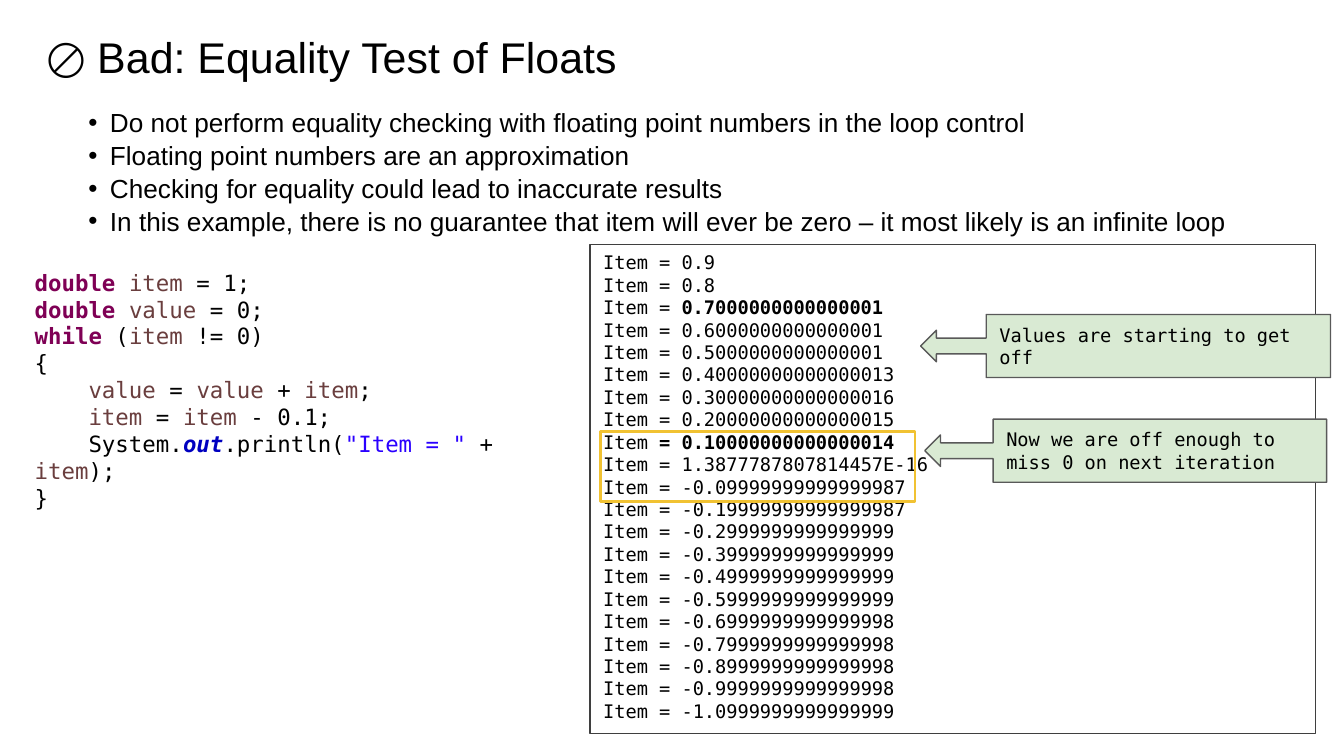
"""Build a slide on why floats should not be tested for equality."""
from lxml import etree
from pptx import Presentation, util as u
from pptx.dml.color import RGBColor
from pptx.enum import shapes, text
from pptx.oxml.ns import qn

SANS, MONO = "Arial", "DejaVu Sans Mono"
COLORS = {
    "text": "000000", "keyword": "7F0055", "variable": "6A3E3E",
    "field": "0000C0", "string": "2A00FF", "paper": "FFFFFF",
    "frame": "3F3F3F", "callout": "D9EAD3", "edge": "595959", "mark": "F1C232",
}
TITLE = "🚫 Bad: Equality Test of Floats"
BULLETS = [
    "Do not perform equality checking with floating point numbers in the loop control",
    "Floating point numbers are an approximation",
    "Checking for equality could lead to inaccurate results",
    "In this example, there is no guarantee that item will ever be zero – it most likely is an infinite loop",
]
CODE = [
    [("double ", "keyword"), ("item", "variable"), (" = 1;", "text")],
    [("double ", "keyword"), ("value", "variable"), (" = 0;", "text")],
    [("while", "keyword"), (" (", "text"), ("item", "variable"), (" != 0)", "text")],
    [("{", "text")],
    [("    value", "variable"), (" = ", "text"), ("value", "variable"),
     (" + ", "text"), ("item", "variable"), (";", "text")],
    [("    item", "variable"), (" = ", "text"), ("item", "variable"), (" - 0.1;", "text")],
    [("    System.", "text"), ("out", "field"), (".println(", "text"),
     ('"Item = "', "string"), (" + ", "text"), ("item", "variable"), (");", "text")],
    [("}", "text")],
]
VALUES = [
    "0.9", "0.8", "0.7000000000000001", "0.6000000000000001", "0.5000000000000001",
    "0.40000000000000013", "0.30000000000000016", "0.20000000000000015",
    "0.10000000000000014", "1.3877787807814457E-16", "-0.09999999999999987",
    "-0.19999999999999987", "-0.2999999999999999", "-0.3999999999999999",
    "-0.4999999999999999", "-0.5999999999999999", "-0.6999999999999998",
    "-0.7999999999999998", "-0.8999999999999998", "-0.9999999999999998",
    "-1.0999999999999999",
]
BOLD_FROM = {2: "Item = ", 8: "Item "}
CALLOUTS = [
    ("Values are starting to get off", (493.2, 168.5, 219.6, 33.8), 0.84),
    ("Now we are off enough to miss 0 on next iteration", (495.4, 224.6, 215.3, 33.8), 0.83),
]


def rgb(name):
    return RGBColor.from_string(COLORS[name])


def style(font, size, face, color="text", bold=False, italic=False):
    font.size, font.name = u.Pt(size), face
    font.bold, font.italic = bold, italic
    font.color.rgb = rgb(color)


def set_frame(sp, inset_y=7.2, anchor=text.MSO_ANCHOR.TOP):
    tf = sp.text_frame
    tf.word_wrap, tf.vertical_anchor = True, anchor
    tf.margin_left = tf.margin_right = u.Pt(7.2)
    tf.margin_top = tf.margin_bottom = u.Pt(inset_y)
    return tf


def add_box(s, box):
    return set_frame(s.shapes.add_textbox(*map(u.Pt, box)))


def add_shape(s, kind, box, fill, line, width):
    sp = s.shapes.add_shape(kind, *map(u.Pt, box))
    sp.shadow.inherit = False
    if fill:
        sp.fill.solid()
        sp.fill.fore_color.rgb = rgb(fill)
    else:
        sp.fill.background()
    sp.line.color.rgb, sp.line.width = rgb(line), u.Pt(width)
    return sp


def add_bullet(p):
    pPr = p._p.get_or_add_pPr()
    pPr.set("marL", str(u.Pt(40.3)))
    pPr.set("indent", str(-u.Pt(11.5)))
    clr = etree.SubElement(pPr, qn("a:buClr"))
    etree.SubElement(clr, qn("a:srgbClr"), val=COLORS["text"])
    etree.SubElement(pPr, qn("a:buFont"), typeface=SANS)
    etree.SubElement(pPr, qn("a:buChar"), char="•")


def write_lines(tf, lines, size):
    tf.auto_size = text.MSO_AUTO_SIZE.SHAPE_TO_FIT_TEXT
    for i, line in enumerate(lines):
        p = tf.paragraphs[0] if i == 0 else tf.add_paragraph()
        p.alignment = text.PP_ALIGN.LEFT
        for words, color, bold, italic in line:
            r = p.add_run()
            r.text = words
            style(r.font, size, MONO, color, bold, italic)


def output_line(i, value):
    line = f"Item = {value}"
    if i not in BOLD_FROM:
        return [(line, "text", False, False)]
    plain = BOLD_FROM[i]
    return [(plain, "text", False, False), (line[len(plain):], "text", True, False)]


def main():
    prs = Presentation()
    prs.slide_width, prs.slide_height = u.Pt(720), u.Pt(405)
    s = prs.slides.add_slide(prs.slide_layouts[6])

    tf = add_box(s, (18, 9.4, 671, 45.4))
    tf.text = TITLE
    style(tf.paragraphs[0].runs[0].font, 23, SANS)

    tf = add_box(s, (11.5, 49, 671, 87.1))
    tf.text = "\n".join(BULLETS)
    for p in tf.paragraphs:
        p.line_spacing = 1.05
        add_bullet(p)
        style(p.runs[0].font, 14, SANS)

    code = [[(words, kind, kind in ("keyword", "field"), kind == "field")
             for words, kind in line] for line in CODE]
    write_lines(add_box(s, (11.5, 136.8, 295.2, 131)), code, 12)

    rect = shapes.MSO_SHAPE.RECTANGLE
    sp = add_shape(s, rect, (316.1, 131, 388.8, 262.1), "paper", "frame", 0.75)
    write_lines(set_frame(sp, 3.6), [output_line(i, v) for i, v in enumerate(VALUES)], 10)

    for words, box, body in CALLOUTS:
        sp = add_shape(s, shapes.MSO_SHAPE.LEFT_ARROW_CALLOUT, box, "callout", "edge", 0.75)
        sp.adjustments[3] = body
        tf = set_frame(sp, anchor=text.MSO_ANCHOR.MIDDLE)
        tf.text = words
        tf.paragraphs[0].alignment = text.PP_ALIGN.LEFT
        style(tf.paragraphs[0].runs[0].font, 10, MONO)

    add_shape(s, rect, (321.8, 231.1, 168.5, 37.4), None, "mark", 1.5)
    prs.save("out.pptx")


if __name__ == "__main__":
    main()
